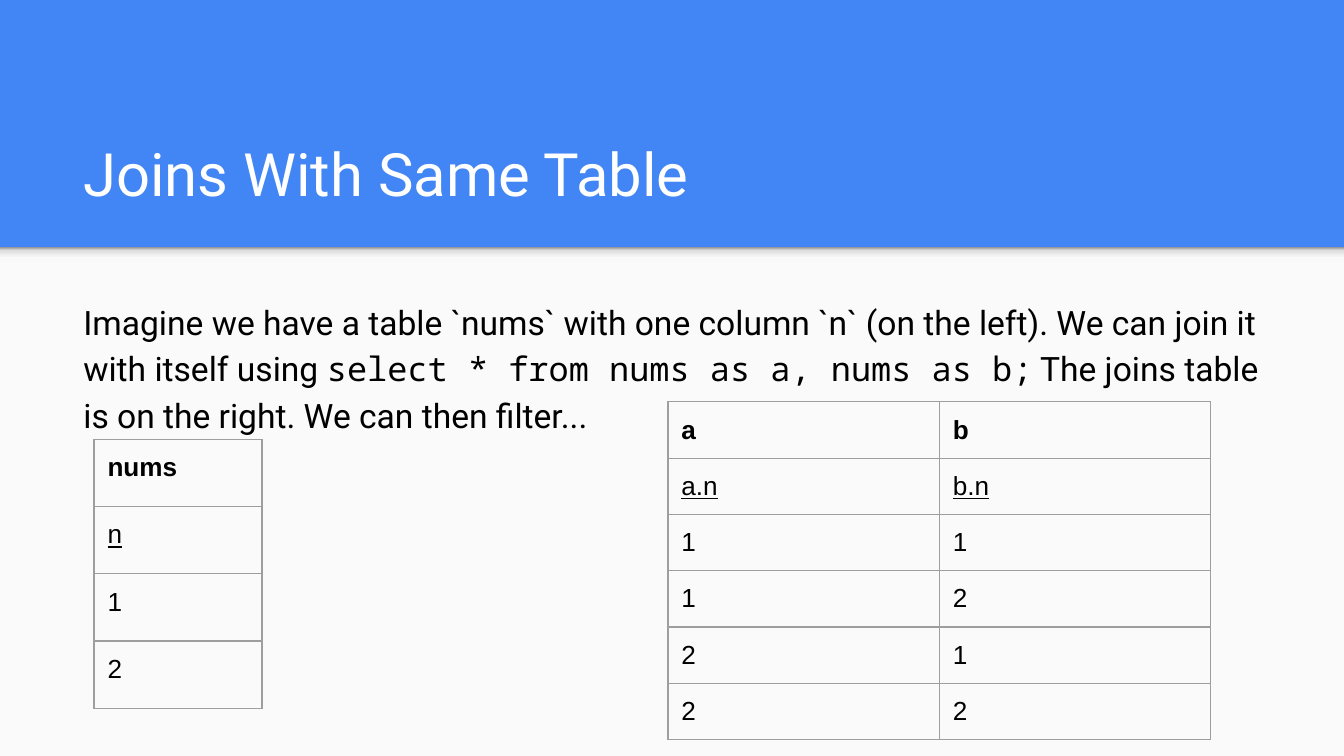
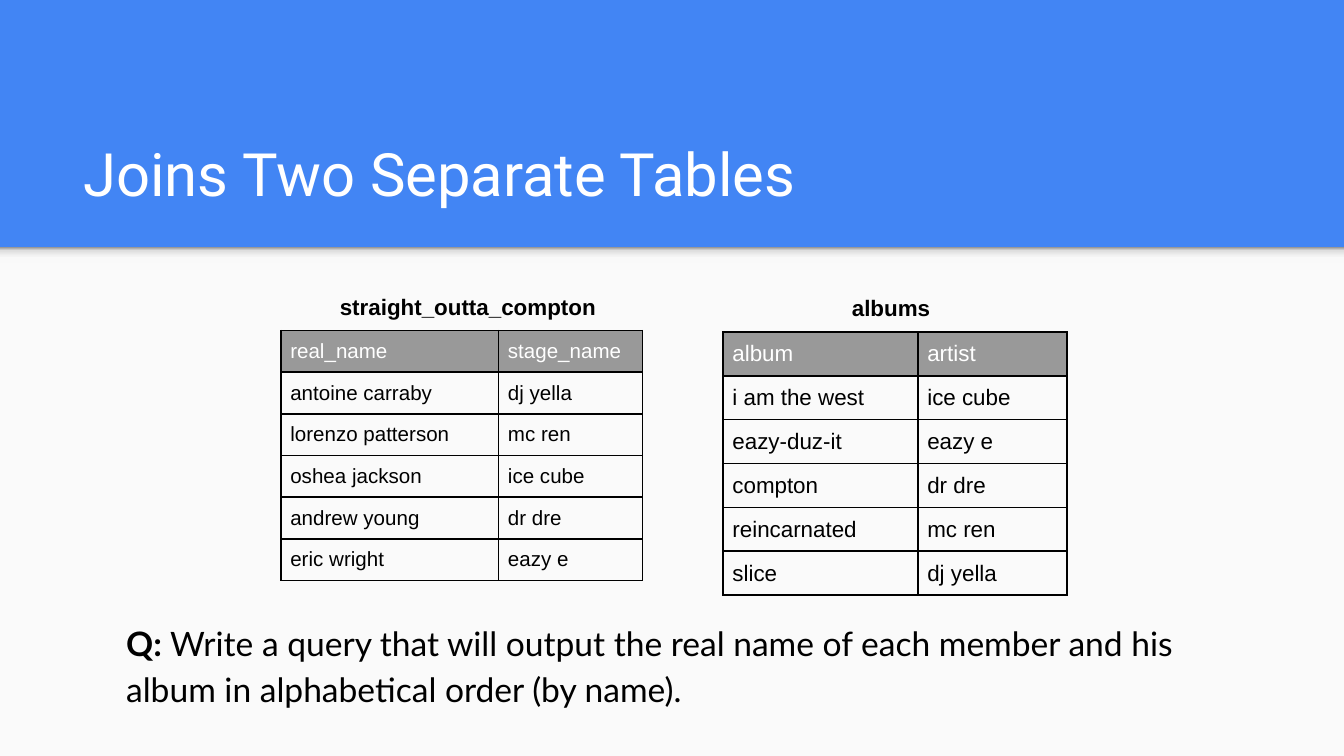
import dataclasses
import typing

import lxml.etree
import pptx
import pptx.dml.color
import pptx.enum.shapes
import pptx.enum.text
import pptx.oxml
import pptx.oxml.ns
import pptx.presentation
import pptx.shapes.base
import pptx.slide
import pptx.text.text
import pptx.util

Inches = pptx.util.Inches
Anchor = pptx.enum.text.MSO_ANCHOR


@dataclasses.dataclass(frozen=True)
class Theme:
    blue: str = "4285F4"
    paper: str = "FAFAFA"
    white: str = "FFFFFF"
    black: str = "000000"
    header_gray: str = "999999"
    grid_gray: str = "9E9E9E"
    shadow: tuple[tuple[int, str], ...] = (
        (0, "F9F9F9"), (36, "F9F9F9"), (80, "DEDEDE"), (100, "999999"))
    heading_font: str = "Roboto"
    code_font: str = "Noto Sans Mono"
    table_font: str = "Arial"
    question_font: str = "Lato"
    title_size: int = 32
    body_size: int = 18
    grid_size: int = 14
    label_size: int = 12
    small_size: int = 11
    line_spacing: float = 1.15
    padding: float = 0.1
    tight_padding: float = 0.07


THEME = Theme()


class Box(typing.NamedTuple):
    left: float
    top: float
    width: float
    height: float

    def lengths(self) -> list[pptx.util.Length]:
        return [Inches(value) for value in self]


class Style(typing.NamedTuple):
    font: str
    size: int
    color: str = THEME.black
    bold: bool = False
    underline: bool = False


class Span(typing.NamedTuple):
    text: str
    style: Style


@dataclasses.dataclass(frozen=True)
class Grid:
    left: float
    top: float
    columns: tuple[float, ...]
    row_height: float
    rows: tuple[tuple[str, ...], ...]
    head_styles: tuple[Style, ...]  # styles of the first rows
    cell_style: Style
    border: str
    border_width: float
    padding: float
    head_fill: str | None = None


TITLE_BOX = Box(0.52, 0.81, 8.99, 0.84)
TITLE_STYLE = Style(THEME.heading_font, THEME.title_size, THEME.white)
BODY = Style(THEME.heading_font, THEME.body_size)
CODE = Style(THEME.code_font, THEME.body_size)
QUESTION = Style(THEME.question_font, THEME.body_size)
LABEL = Style(THEME.table_font, THEME.label_size, bold=True)
NUMBER = Style(THEME.table_font, THEME.grid_size)


def rgb(color: str) -> pptx.dml.color.RGBColor:
    return pptx.dml.color.RGBColor.from_string(color)


def write(frame: pptx.text.text.TextFrame, spans: typing.Iterable[Span],
          spacing: float = 1.0) -> None:
    paragraph = frame.paragraphs[0]
    paragraph.alignment = pptx.enum.text.PP_ALIGN.LEFT
    paragraph.line_spacing = spacing
    paragraph.space_before = pptx.util.Pt(0)
    for text, style in spans:
        run = paragraph.add_run()
        run.text = text
        run.font.name = style.font
        run.font.size = pptx.util.Pt(style.size)
        run.font.color.rgb = rgb(style.color)
        run.font.bold = style.bold
        run.font.underline = style.underline


def fill_text(shape: pptx.shapes.base.BaseShape, box: Box, anchor: Anchor,
              spans: typing.Iterable[Span], spacing: float = 1.0) -> None:
    shape.left, shape.top, shape.width, shape.height = box.lengths()
    frame = shape.text_frame
    frame.word_wrap = True
    frame.auto_size = pptx.enum.text.MSO_AUTO_SIZE.NONE
    frame.vertical_anchor = anchor
    frame.margin_left = frame.margin_right = Inches(THEME.padding)
    frame.margin_top = frame.margin_bottom = Inches(THEME.padding)
    write(frame, spans, spacing)


def add_text(slide: pptx.slide.Slide, box: Box, *spans: Span) -> None:
    fill_text(slide.shapes.add_textbox(*box.lengths()), box, Anchor.MIDDLE,
              spans, THEME.line_spacing)


def set_title(slide: pptx.slide.Slide, text: str) -> None:
    fill_text(slide.shapes.title, TITLE_BOX, Anchor.BOTTOM,
              [Span(text, TITLE_STYLE)])


def set_body(slide: pptx.slide.Slide, box: Box, *spans: Span) -> None:
    body = slide.placeholders[1]
    fill_text(body, box, Anchor.TOP, spans, THEME.line_spacing)
    # Plain paragraph: no bullet and no hanging indent
    properties = body.text_frame.paragraphs[0]._p.get_or_add_pPr()
    properties.set("marL", "0")
    properties.set("indent", "0")
    lxml.etree.SubElement(properties, pptx.oxml.ns.qn("a:buNone"))


def add_grid(slide: pptx.slide.Slide, grid: Grid) -> None:
    box = Box(grid.left, grid.top, sum(grid.columns),
              grid.row_height * len(grid.rows))
    table = slide.shapes.add_table(
        len(grid.rows), len(grid.columns), *box.lengths()).table
    table.first_row = table.horz_banding = False
    for column, width in zip(table.columns, grid.columns):
        column.width = Inches(width)
    for index, texts in enumerate(grid.rows):
        table.rows[index].height = Inches(grid.row_height)
        is_head = index < len(grid.head_styles)
        style = grid.head_styles[index] if is_head else grid.cell_style
        for cell, text in zip(table.rows[index].cells, texts):
            cell.margin_left = cell.margin_right = Inches(grid.padding)
            cell.margin_top = cell.margin_bottom = Inches(grid.padding)
            write(cell.text_frame, [Span(text, style)])
            add_borders(cell, grid.border, grid.border_width)
            if is_head and grid.head_fill:
                cell.fill.solid()
                cell.fill.fore_color.rgb = rgb(grid.head_fill)
            else:
                cell.fill.background()


def add_borders(cell: typing.Any, color: str, width: float) -> None:
    properties = cell._tc.get_or_add_tcPr()
    for side in ("lnL", "lnR", "lnT", "lnB"):
        properties.append(pptx.oxml.parse_xml(
            f'<a:{side} {pptx.oxml.ns.nsdecls("a")} w="{pptx.util.Pt(width)}">'
            f'<a:solidFill><a:srgbClr val="{color}"/></a:solidFill></a:{side}>'))


def add_backdrop(deck: pptx.presentation.Presentation,
                 slide: pptx.slide.Slide) -> None:
    """Put the blue ground, the pale panel and its top shadow on the master."""
    master = deck.slide_master
    master.background.fill.solid()
    master.background.fill.fore_color.rgb = rgb(THEME.blue)
    panel, shadow = (
        slide.shapes.add_shape(pptx.enum.shapes.MSO_SHAPE.RECTANGLE,
                               *Box(0, 1.84, 10, height).lengths())
        for height in (3.78, 0.12))
    panel.height = deck.slide_height - panel.top
    for position, part in enumerate((panel, shadow), start=2):
        part.shadow.inherit = False
        part.line.fill.background()
        part.fill.solid()
        part.fill.fore_color.rgb = rgb(THEME.paper)
        master.shapes.element.insert(position, part.element)
    stops = "".join(
        f'<a:gs pos="{place * 1000}"><a:srgbClr val="{color}"/></a:gs>'
        for place, color in THEME.shadow)
    gradient = pptx.oxml.parse_xml(
        f'<a:gradFill {pptx.oxml.ns.nsdecls("a")}><a:gsLst>{stops}</a:gsLst>'
        '<a:lin ang="16200000" scaled="0"/></a:gradFill>')
    properties = shadow.element.spPr
    properties.replace(properties.find(pptx.oxml.ns.qn("a:solidFill")), gradient)


def number_grid(left: float, top: float, columns: tuple[float, ...],
                row_height: float, rows: tuple[tuple[str, ...], ...]) -> Grid:
    heads = (NUMBER._replace(bold=True), NUMBER._replace(underline=True))
    return Grid(left, top, columns, row_height, rows, heads, NUMBER,
                THEME.grid_gray, 0.75, THEME.padding)


def record_grid(left: float, top: float, columns: tuple[float, ...],
                row_height: float, size: int,
                rows: tuple[tuple[str, ...], ...]) -> Grid:
    record = Style(THEME.table_font, size)
    return Grid(left, top, columns, row_height, rows,
                (record._replace(color=THEME.white),), record,
                THEME.black, 1, THEME.tight_padding, THEME.header_gray)


NUMS = number_grid(0.7, 3.27, (1.25,), 0.5, (("nums",), ("n",), ("1",), ("2",)))
JOINED = number_grid(4.97, 2.99, (2.02, 2.02), 0.36, (
    ("a", "b"), ("a.n", "b.n"),
    *((a, b) for a in "12" for b in "12")))
MEMBERS = record_grid(2.09, 2.46, (1.62, 1.07), 0.31, THEME.small_size, (
    ("real_name", "stage_name"),
    ("antoine carraby", "dj yella"),
    ("lorenzo patterson", "mc ren"),
    ("oshea jackson", "ice cube"),
    ("andrew young", "dr dre"),
    ("eric wright", "eazy e")))
ALBUMS = record_grid(5.38, 2.47, (1.45, 1.11), 0.32, THEME.label_size, (
    ("album", "artist"),
    ("i am the west", "ice cube"),
    ("eazy-duz-it", "eazy e"),
    ("compton", "dr dre"),
    ("reincarnated", "mc ren"),
    ("slice", "dj yella")))


def main() -> None:
    deck = pptx.Presentation()
    # Widescreen, 16:9
    deck.slide_width = Inches(10)
    deck.slide_height = deck.slide_width * 9 // 16

    # Self join
    self_join = deck.slides.add_slide(deck.slide_layouts[1])
    add_backdrop(deck, self_join)
    set_title(self_join, "Joins With Same Table")
    set_body(self_join, Box(0.52, 2.1, 8.99, 2.96),
             Span("Imagine we have a table `nums` with one column `n` (on the "
                  "left). We can join it with itself using ", BODY),
             Span("select * from nums as a, nums as b;", CODE),
             Span(" The joins table is on the right. We can then filter...", BODY))
    add_grid(self_join, NUMS)
    add_grid(self_join, JOINED)

    # Join of two tables
    two_tables = deck.slides.add_slide(deck.slide_layouts[5])
    set_title(two_tables, "Joins Two Separate Tables")
    add_grid(two_tables, MEMBERS)
    add_text(two_tables, Box(2.43, 2, 2.35, 0.54),
             Span("straight_outta_compton", LABEL))
    add_grid(two_tables, ALBUMS)
    add_text(two_tables, Box(6.24, 2.09, 0.83, 0.37), Span("albums", LABEL))
    add_text(two_tables, Box(0.84, 4.49, 8.32, 0.89),
             Span("Q: ", QUESTION._replace(bold=True)),
             Span("Write a query that will output the real name of each member "
                  "and his album in alphabetical order (by name).", QUESTION))

    deck.save("out.pptx")


if __name__ == "__main__":
    main()
